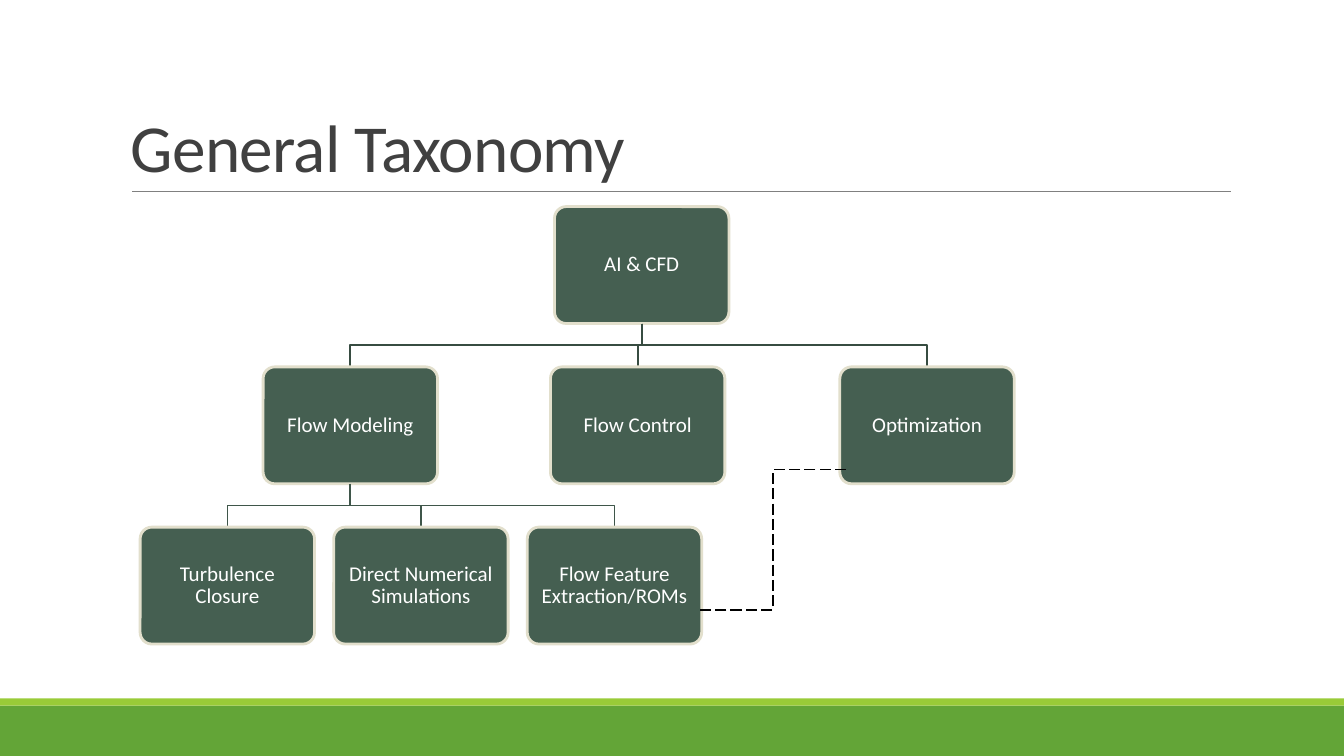
from lxml.etree import SubElement
from pptx import Presentation
from pptx.dml.color import RGBColor
from pptx.enum.dml import MSO_LINE
from pptx.enum.shapes import MSO_CONNECTOR, MSO_SHAPE
from pptx.enum.text import MSO_ANCHOR, PP_ALIGN
from pptx.oxml.ns import qn
from pptx.util import Inches, Pt

BOX_W, BOX_H = 1.73, 1.16
ROOT_Y, BRANCH_Y, LEAF_Y = 2.05, 3.64, 5.23
ROOT = ("AI & CFD", 5.5)
BRANCHES = [("Flow Modeling", 2.61), ("Flow Control", 5.46), ("Optimization", 8.33)]
LEAVES = [("Turbulence Closure", 1.39), ("Direct Numerical Simulations", 3.31),
          ("Flow Feature Extraction/ROMs", 5.23)]
BOX_FRAME = {"word_wrap": True, "vertical_anchor": MSO_ANCHOR.MIDDLE,
             **{f"margin_{side}": Inches(0.06) for side in ("left", "top", "right", "bottom")}}
TITLE_FRAME = {"word_wrap": True, "vertical_anchor": MSO_ANCHOR.BOTTOM}
BOX_PARAGRAPH = {"alignment": PP_ALIGN.CENTER, "line_spacing": 0.9, "space_after": Pt(5.25)}
TITLE_PARAGRAPH = {"line_spacing": 0.85}


def rgb(value):
    """Turn a hex string into a colour."""
    return RGBColor.from_string(value)


def apply(target, values):
    """Set each named attribute on the target."""
    for name, value in values.items():
        setattr(target, name, value)


def set_line(sp, color, width):
    """Give a shape or connector a solid outline."""
    sp.line.color.rgb = rgb(color)
    sp.line.width = Pt(width)


def write(sp, text, size, color, frame, paragraph):
    """Write one formatted paragraph and return its run."""
    tf = sp.text_frame
    apply(tf, frame)
    p = tf.paragraphs[0]
    apply(p, paragraph)
    r = p.add_run()
    r.text = text
    apply(r.font, {"name": "Calibri", "size": Pt(size)})
    r.font.color.rgb = rgb(color)
    return r


def add_band(s, top, height, color):
    """Draw a full-width footer band."""
    sp = s.shapes.add_shape(MSO_SHAPE.RECTANGLE, 0, Inches(top), Inches(13.33), Inches(height))
    sp.shadow.inherit = False
    sp.fill.solid()
    sp.fill.fore_color.rgb = rgb(color)
    sp.line.fill.background()


def add_line(s, kind, start, end, color, width):
    """Draw a connector without a shadow."""
    sp = s.shapes.add_connector(kind, *map(Inches, start + end))
    set_line(sp, color, width)
    SubElement(sp._element.spPr, qn("a:effectLst"))
    return sp


def add_title(s, text):
    """Place the slide title."""
    sp = s.shapes.add_textbox(Inches(1.2), Inches(0.31), Inches(11), Inches(1.59))
    r = write(sp, text, 48, "404040", TITLE_FRAME, TITLE_PARAGRAPH)
    r.font._element.set("spc", "-50")


def add_box(s, text, left, top):
    """Draw one rounded taxonomy box."""
    sp = s.shapes.add_shape(MSO_SHAPE.ROUNDED_RECTANGLE, Inches(left), Inches(top),
                            Inches(BOX_W), Inches(BOX_H))
    sp.adjustments[0] = 0.1
    sp.shadow.inherit = False
    sp.fill.solid()
    sp.fill.fore_color.rgb = rgb("455F51")
    set_line(sp, "E2DFCC", 2)
    write(sp, text, 15, "FFFFFF", BOX_FRAME, BOX_PARAGRAPH)


def add_branch(s, parent_left, parent_top, child_left, child_top, color):
    """Draw the stepped line from a parent box to a child box."""
    x1, x2 = parent_left + BOX_W / 2, child_left + BOX_W / 2
    y1, y2 = parent_top + BOX_H, child_top
    middle = (y1 + y2) / 2
    points = [(x1, middle), (x2, middle), (x2, y2)]
    builder = s.shapes.build_freeform(Inches(x1), Inches(y1))
    builder.add_line_segments([(Inches(x), Inches(y)) for x, y in points], close=False)
    sp = builder.convert_to_shape()
    sp.shadow.inherit = False
    sp.fill.background()
    set_line(sp, color, 1.25)


def add_level(s, parent_left, parent_top, children, top, color):
    """Draw a row of boxes hanging from one parent."""
    for text, left in children:
        add_branch(s, parent_left, parent_top, left, top, color)
        add_box(s, text, left, top)


def main():
    """Build the taxonomy slide."""
    prs = Presentation()
    apply(prs, {"slide_width": Inches(13.33), "slide_height": Inches(7.5)})
    s = prs.slides.add_slide(prs.slide_layouts[6])
    add_band(s, 7, 0.5, "63A537")
    add_band(s, 6.93, 0.07, "99CB38")
    add_line(s, MSO_CONNECTOR.STRAIGHT, (1.31, 1.9), (12.21, 1.9), "808080", 0.5)
    add_title(s, "General Taxonomy")
    add_box(s, *ROOT, ROOT_Y)
    add_level(s, ROOT[1], ROOT_Y, BRANCHES, BRANCH_Y, "374C41")
    add_level(s, BRANCHES[0][1], BRANCH_Y, LEAVES, LEAF_Y, "3F564A")
    link = add_line(s, MSO_CONNECTOR.ELBOW, (8.39, 4.66), (6.94, 6.05), "000000", 1)
    link.line.dash_style = MSO_LINE.LONG_DASH
    prs.save("out.pptx")


if __name__ == "__main__":
    main()
